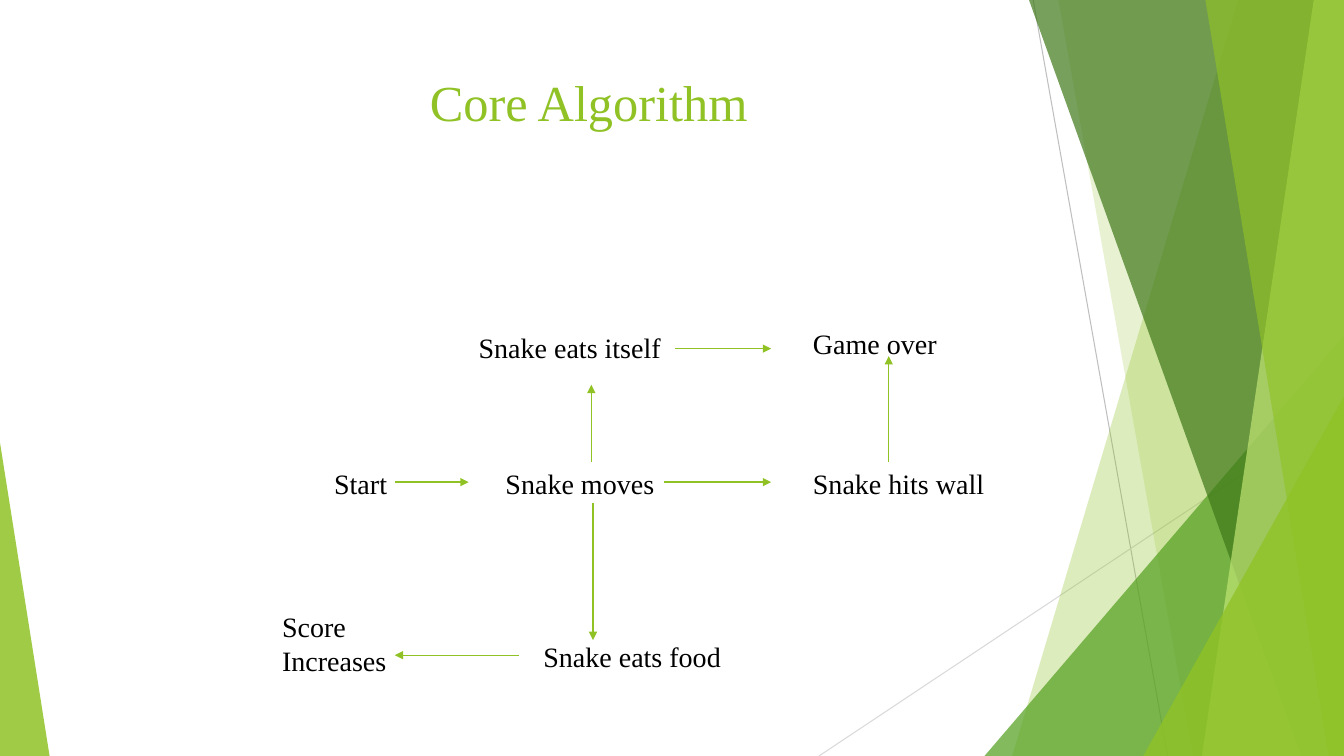
"""Build the Core Algorithm slide: a snake game flow beside green facets."""
from pptx import Presentation
from pptx.dml.color import RGBColor
from pptx.enum.shapes import MSO_CONNECTOR as CONN, MSO_SHAPE as SHAPE
from pptx.enum.text import MSO_ANCHOR as ANCHOR, MSO_AUTO_SIZE as AUTO, PP_ALIGN as ALIGN
from pptx.oxml.ns import qn
from pptx.util import Inches, Pt
from lxml.etree import SubElement

COLS, ROWS = 160, 90
COLORS = {
    "lime": "90C226", "green": "54A021", "forest": "3F7819", "pale": "C0E474",
    "text": "000000", "grey": "BFBFBF", "silver": "D9D9D9",
}


class Deck:
    def __init__(self, font="Times New Roman"):
        self.font = font
        self.prs = Presentation()
        self.prs.slide_width, self.prs.slide_height = Inches(13.33), Inches(7.5)
        self.s = self.prs.slides.add_slide(self.prs.slide_layouts[5])

    def x(self, col):
        return round(self.prs.slide_width * col / COLS)

    def y(self, row):
        return round(self.prs.slide_height * row / ROWS)

    def box(self, col, row, cols, rows):
        return self.x(col), self.y(row), self.x(cols), self.y(rows)

    def rgb(self, name):
        return RGBColor.from_string(COLORS[name])

    def paint(self, sp, color, opacity):
        sp.shadow.inherit = False
        sp.line.fill.background()
        sp.fill.solid()
        sp.fill.fore_color.rgb = self.rgb(color)
        clr = sp._element.spPr.find(qn("a:solidFill"))[0]
        SubElement(clr, qn("a:alpha")).set("val", str(opacity * 1000))

    def facet(self, top, bottom, color, opacity):
        fb = self.s.shapes.build_freeform(self.x(top), 0)
        fb.add_line_segments([(self.x(COLS), 0), (self.x(COLS), self.y(ROWS)),
                              (self.x(bottom), self.y(ROWS))])
        self.paint(fb.convert_to_shape(), color, opacity)

    def triangle(self, left, top, right, apex, color, opacity):
        sp = self.s.shapes.add_shape(
            SHAPE.ISOSCELES_TRIANGLE, *self.box(left, top, right - left, ROWS - top))
        sp.adjustments[0] = apex
        self.paint(sp, color, opacity)

    def line(self, start, end, color="lime", width=1, arrow=True):
        c = self.s.shapes.add_connector(
            CONN.STRAIGHT, self.x(start[0]), self.y(start[1]), self.x(end[0]), self.y(end[1]))
        c.line.color.rgb = self.rgb(color)
        c.line.width = Pt(width)
        spPr = c._element.spPr
        if arrow:
            SubElement(spPr.find(qn("a:ln")), qn("a:tailEnd")).set("type", "triangle")
        SubElement(spPr, qn("a:effectLst"))

    def fill_text(self, tf, text, size, color, align):
        tf.word_wrap = True
        tf.vertical_anchor = ANCHOR.TOP
        p = tf.paragraphs[0]
        p.text, p.alignment = text, align
        p.font.name, p.font.size = self.font, Pt(size)
        p.font.color.rgb = self.rgb(color)

    def title(self, text, *cell):
        sp = self.s.shapes.title
        sp.left, sp.top, sp.width, sp.height = self.box(*cell)
        self.fill_text(sp.text_frame, text, 36, "lime", ALIGN.CENTER)

    def label(self, text, col, row, cols, rows=5.3):
        tf = self.s.shapes.add_textbox(*self.box(col, row, cols, rows)).text_frame
        self.fill_text(tf, text, 20, "text", ALIGN.LEFT)
        tf.auto_size = AUTO.SHAPE_TO_FIT_TEXT


def main():
    d = Deck()
    d.line((123, 0), (139, 90), "grey", 0.75, arrow=False)
    d.line((160, 48.4), (97.5, 90), "silver", 0.75, arrow=False)
    d.facet(147.4, 120.5, "lime", 30)
    d.facet(126, 142, "lime", 20)
    d.triangle(117.2, 40, COLS, 1, "green", 72)
    d.facet(122.5, 154.9, "forest", 70)
    d.facet(156.4, 143.1, "pale", 70)
    d.facet(143.5, 158.2, "lime", 65)
    d.triangle(136.1, 47.2, COLS, 1, "lime", 80)
    d.triangle(0, 52.7, 5.9, 0, "lime", 85)

    d.title("Core Algorithm", 13.7, 7.9, 112.8, 17.3)
    for step in [
        ("Start", 38.6, 55, 12.8),
        ("Snake moves", 59, 55, 22.7),
        ("Snake hits wall", 95.6, 55, 30.8),
        ("Snake eats itself", 55.8, 38.8, 29.6),
        ("Game over", 95.6, 38.3, 25.6),
        ("Snake eats food", 63.5, 75.6, 25.4),
        ("Score Increases", 32.4, 72, 18.7, 9.2),
    ]:
        d.label(*step)
    for start, end in [
        ((47, 57.4), (55.8, 57.4)),
        ((79, 57.4), (91.8, 57.4)),
        ((70.4, 55), (70.4, 45.8)),
        ((80.4, 41.5), (91.8, 41.5)),
        ((105.8, 55), (105.8, 42.4)),
        ((70.6, 59.9), (70.6, 76.2)),
        ((61.8, 78), (47, 78)),
    ]:
        d.line(start, end)
    d.prs.save("out.pptx")


if __name__ == "__main__":
    main()
